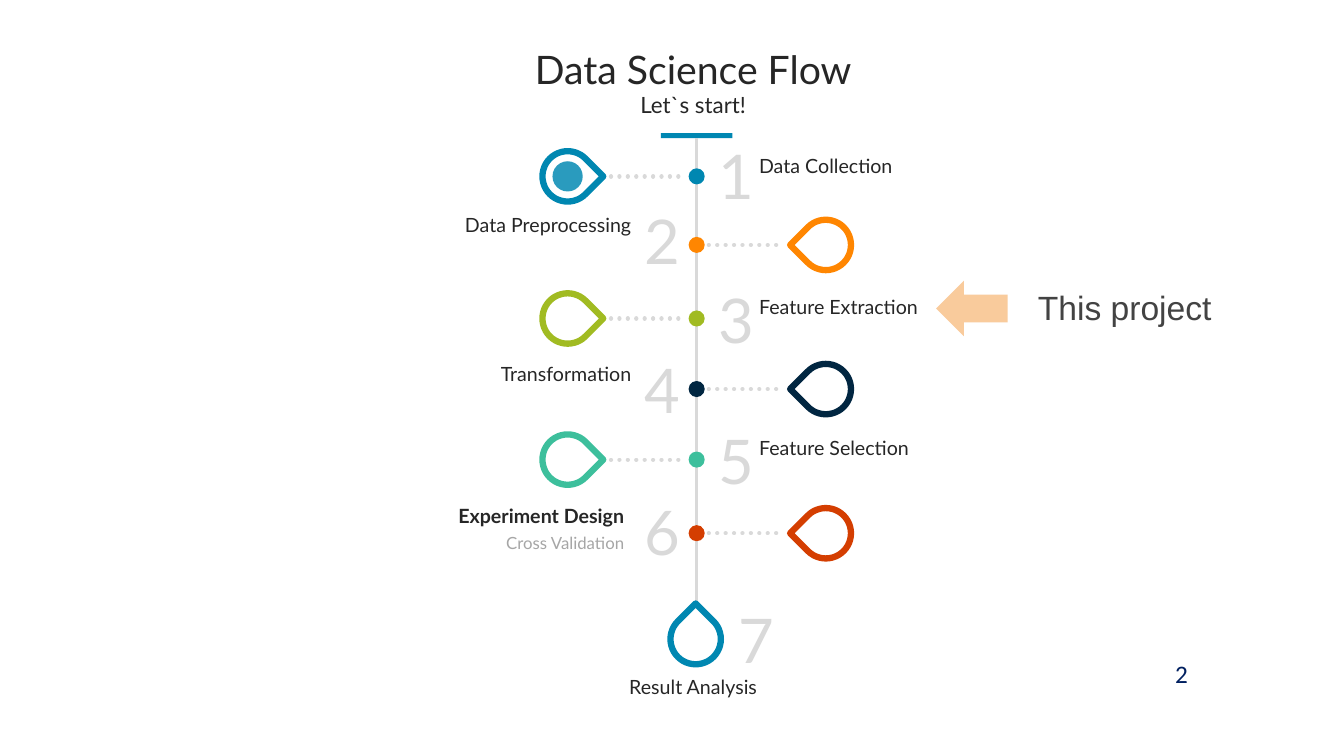
from lxml import etree
from pptx import Presentation
from pptx.dml.color import RGBColor
from pptx.enum.dml import MSO_LINE
from pptx.enum.shapes import MSO_CONNECTOR, MSO_SHAPE
from pptx.enum.text import MSO_ANCHOR, PP_ALIGN
from pptx.oxml.ns import qn
from pptx.util import Inches, Pt

LEFT, MID, RIGHT = PP_ALIGN.LEFT, PP_ALIGN.CENTER, PP_ALIGN.RIGHT
TOP, CENTER = MSO_ANCHOR.TOP, MSO_ANCHOR.MIDDLE
RECT, OVAL = MSO_SHAPE.RECTANGLE, MSO_SHAPE.OVAL
DROP, ARROW = MSO_SHAPE.TEAR, MSO_SHAPE.LEFT_ARROW
LINE, DOTS = MSO_CONNECTOR.STRAIGHT, MSO_LINE.ROUND_DOT

# Content
INK, GREY, BLUE = "262626", "D9D9D9", "0087B1"
HEADS = [("Data Science Flow", 0.4, 0.57, 28), ("Let`s start!", 0.86, 0.37, 16)]
# label, colour, centre height, top of number, top of label
STEPS = [
    ("Data Collection", BLUE, 1.75, 1.32, 1.48),
    ("Data Preprocessing", "FF8601", 2.43, 1.96, 2.06),
    ("Feature Extraction", "A1BB22", 3.16, 2.75, 2.88),
    ("Transformation", "012641", 3.86, 3.44, 3.54),
    ("Feature Selection", "3DBF9C", 4.56, 4.15, 4.28),
    ("Experiment Design", "D43E01", 5.29, 4.85, 4.95),
]
DETAIL = "Cross Validation"
LAST = "Result Analysis"
NOTE = "This project"
PAGE = "2"

# Layout
AXIS = 6.91
REACH = 1.28       # axis to the middle of a side drop
SIZE, DOT = 0.5, 0.16

deck = Presentation()
deck.slide_width, deck.slide_height = Inches(13.33), Inches(7.5)
slide = deck.slides.add_slide(deck.slide_layouts[6])


def tint(code):
    return RGBColor.from_string(code)


def text(words, x, y, w, h, size, color=INK, align=LEFT, font="Lato",
         bold=False, pad=None, anchor=TOP):
    box = slide.shapes.add_textbox(Inches(x), Inches(y), Inches(w), Inches(h))
    frame = box.text_frame
    frame.word_wrap = True
    frame.vertical_anchor = anchor
    if pad is not None:
        frame.margin_left = frame.margin_right = Inches(pad)
        frame.margin_top = frame.margin_bottom = Inches(pad)
    para = frame.paragraphs[0]
    para.alignment = align
    run = para.add_run()
    run.text = words
    run.font.name, run.font.size, run.font.bold = font, Pt(size), bold
    run.font.color.rgb = tint(color)


def shape(kind, cx, cy, w, h, fill=None, edge=None, turn=0):
    """Place a shape by its middle."""
    item = slide.shapes.add_shape(
        kind, Inches(cx - w / 2), Inches(cy - h / 2), Inches(w), Inches(h))
    item.shadow.inherit = False
    item.rotation = turn
    if fill:
        item.fill.solid()
        item.fill.fore_color.rgb = tint(fill)
    else:
        item.fill.background()
    if edge:
        item.line.color.rgb = tint(edge)
        item.line.width = Pt(4.5)
    else:
        item.line.fill.background()
    return item


def line(x1, y1, x2, y2, width, dotted=False):
    item = slide.shapes.add_connector(
        LINE, Inches(x1), Inches(y1), Inches(x2), Inches(y2))
    item.line.color.rgb = tint(GREY)
    item.line.width = Pt(width)
    props = item._element.spPr
    if dotted:
        item.line.dash_style = DOTS
        props.find(qn("a:ln")).set("cap", "rnd")
    etree.SubElement(props, qn("a:effectLst"))
    return item


# Heading and spine
for words, y, h, size in HEADS:
    text(words, 4.77, y, 4.21, h, size, align=MID)
bar = shape(RECT, AXIS, 1.345, 0.71, 0.05, fill="0087B2")
spine = line(AXIS, 1.37, AXIS, 5.97, 2.25)
spine.begin_connect(bar, 2)

# Steps: odd ones have the drop on the left, even ones on the right
for i, (label, color, y, top, head) in enumerate(STEPS):
    odd = i % 2 == 0
    side = -1 if odd else 1
    near, far = AXIS + side * 0.12, AXIS + side * 0.85
    line(min(near, far), y, max(near, far), y, 3, dotted=True)
    shape(DROP, AXIS + side * REACH, y, SIZE, SIZE, edge=color,
          turn=45 if odd else 225)
    shape(OVAL, AXIS, y, DOT, DOT, fill=color)
    text(str(i + 1), 7.03 if odd else 6.29, top, 0.54, 0.84, 44, GREY)
    if odd:
        text(label, 7.43, head, 4.21, 0.34, 14)
    else:
        final = i == len(STEPS) - 1
        text(label, 4.17, head, 2.12 if final else 2.19, 0.34, 14,
             align=RIGHT, bold=final)
text(DETAIL, 4.17, 5.24, 2.12, 0.3, 12, "A6A6A6", RIGHT)
shape(OVAL, AXIS - REACH, STEPS[0][2], 0.3, 0.3, fill="2A9BBE")

# Last step
shape(DROP, AXIS - 0.01, 6.34, SIZE, SIZE, edge=BLUE, turn=315)
text(str(len(STEPS) + 1), 7.23, 5.92, 0.54, 0.84, 44, GREY)
text(LAST, 4.77, 6.65, 4.21, 0.34, 14, align=MID)

# Side note and page number
text(NOTE, 8.81, 2.72, 4.69, 0.59, 24, "434343", MID, "Arial", pad=0.13)
shape(ARROW, 9.64, 3.06, 0.71, 0.55, fill="F9CB9C")
text(PAGE, 11.32, 6.53, 0.59, 0.31, 18, "002060", RIGHT, "Calibri",
     pad=0.13, anchor=CENTER)

deck.save("out.pptx")
